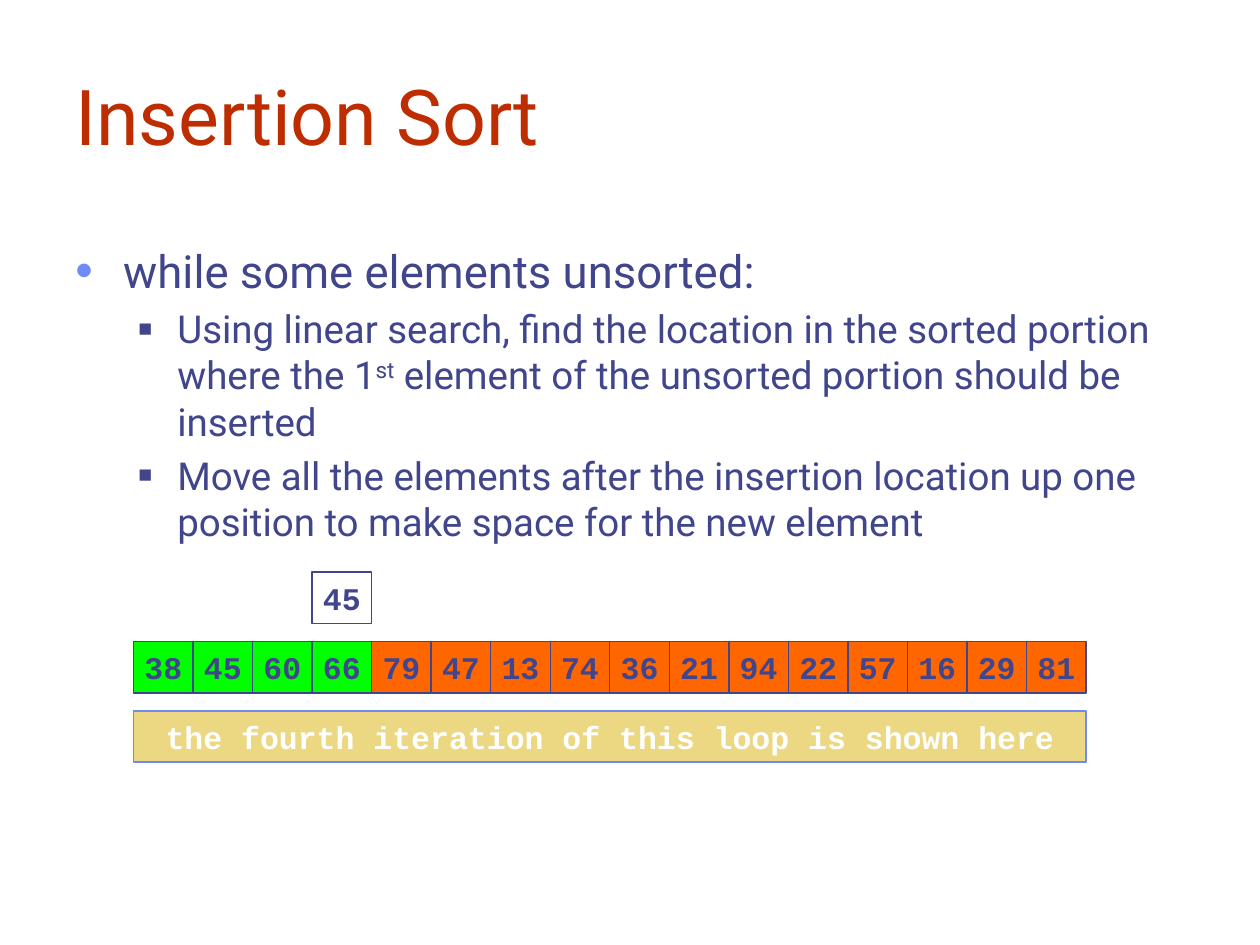
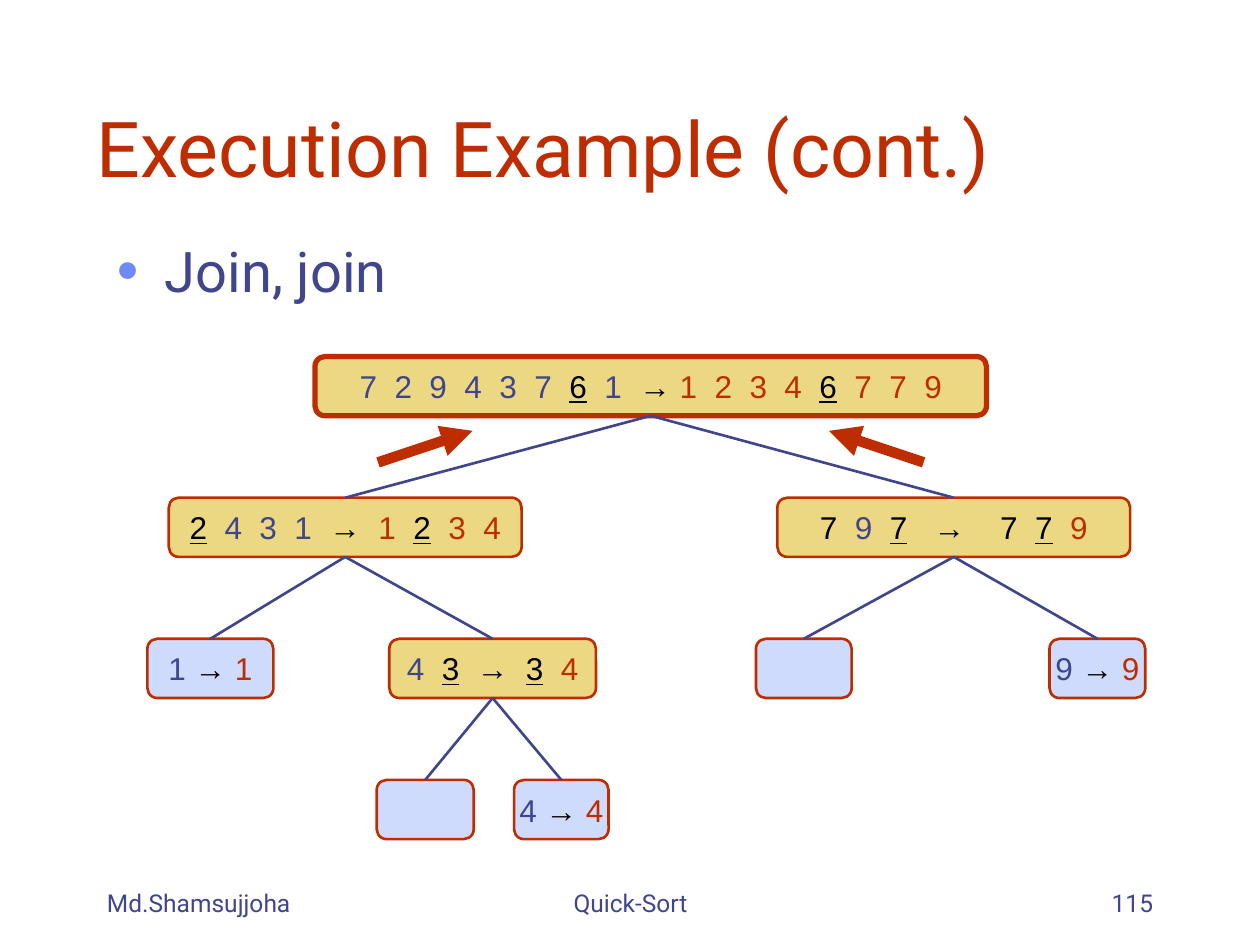
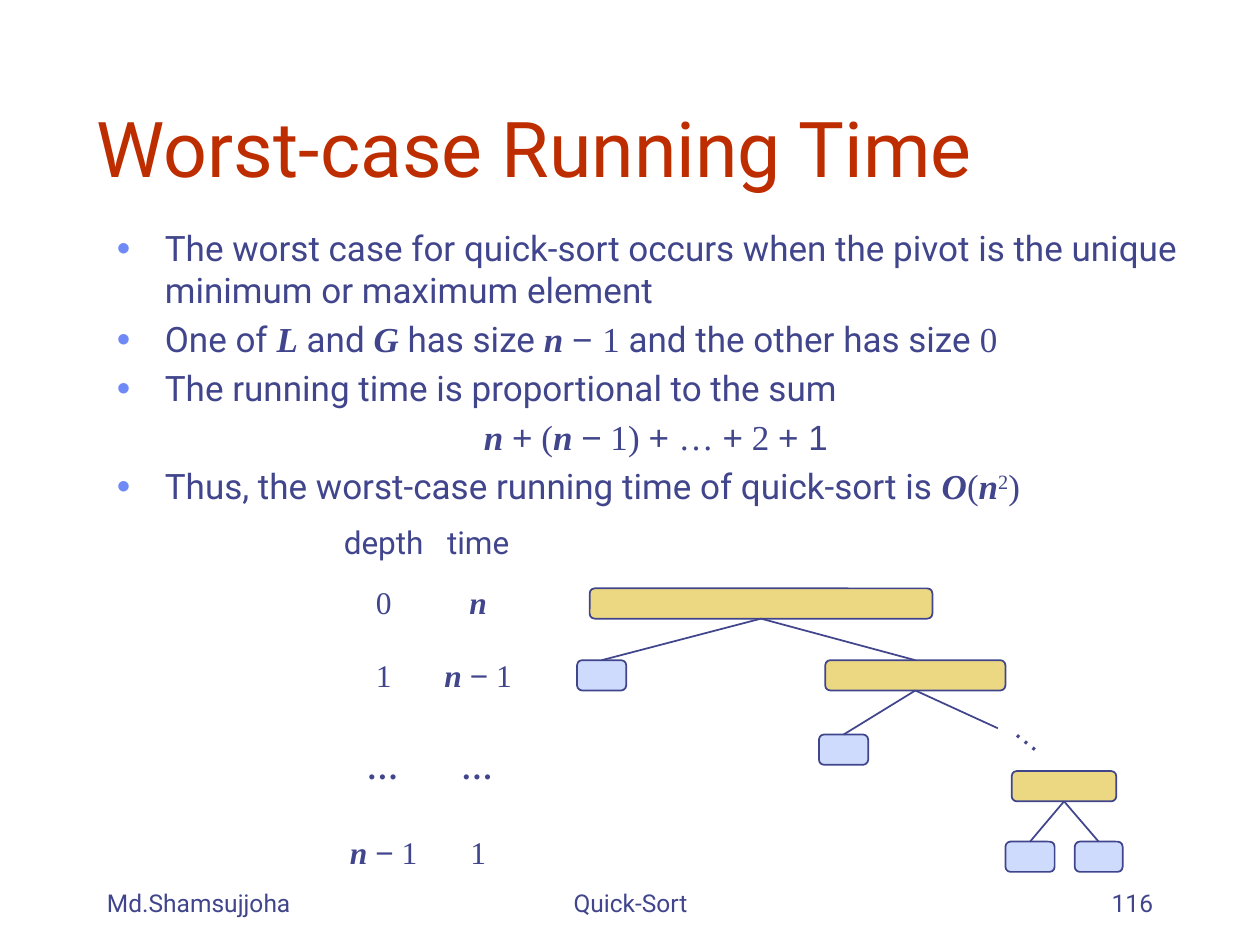
import pptx
import pptx.dml.color
import pptx.enum.shapes
import pptx.enum.text
import pptx.oxml
import pptx.oxml.ns
import pptx.util

Inches = pptx.util.Inches
Pt = pptx.util.Pt
ALIGN = pptx.enum.text.PP_ALIGN
ANCHOR = pptx.enum.text.MSO_ANCHOR
SHAPE = pptx.enum.shapes.MSO_SHAPE

COLORS = {
    "white": "FFFFFF", "black": "000000", "navy": "40458C", "red": "BE2D00",
    "bullet": "6F89F7", "gold": "ECD882", "pale": "CFDBFD",
    "sorted": "00FF00", "unsorted": "FF6600",
}

STYLES = {
    "body": {"font": "Roboto"},
    "super": {"font": "Roboto", "baseline": 30000},
    "title": {"font": "Roboto", "color": "red"},
    "var": {"font": "Times New Roman", "bold": True, "italic": True},
    "math": {"font": "Times New Roman"},
    "power": {"font": "Times New Roman", "baseline": 30000},
    "op": {"font": "Arial"},
    "code": {"font": "Courier New", "bold": True},
    "caption": {"font": "Courier New", "bold": True, "color": "white"},
    "input": {"font": "Arial"},
    "output": {"font": "Arial", "color": "red"},
    "equal": {"font": "Arial", "color": "black"},
    "pivot": {"font": "Arial", "color": "black", "underline": True},
    "arrow": {"font": "Arial", "color": "black", "bold": True},
}

BULLETS = [("•", "bullet", 110, 0.38, 0.38), ("■", "navy", 60, 0.81, 0.31)]
GAP = 5


def rgb(name):
    """Return the named colour."""
    return pptx.dml.color.RGBColor.from_string(COLORS[name])


def add_run(p, text, style, size, spacing=0):
    """Append a run in one of the named styles."""
    look = STYLES[style]
    r = p.add_run()
    r.text = text
    r.font.name = look["font"]
    r.font.size = Pt(size)
    r.font.color.rgb = rgb(look.get("color", "navy"))
    r.font.bold = look.get("bold", False)
    r.font.italic = look.get("italic", False)
    r.font.underline = look.get("underline", False)
    props = r._r.get_or_add_rPr()
    if "baseline" in look:
        props.set("baseline", str(look["baseline"]))
    if spacing:
        props.set("spc", str(spacing * 100))


def add_runs(p, runs, size):
    """Append (text, style) runs."""
    for text, style in runs:
        add_run(p, text, style, size)


def add_text(slide, box, text, style, size, align=ALIGN.LEFT, anchor=ANCHOR.TOP):
    """Add a text box with one line."""
    sp = slide.shapes.add_textbox(*map(Inches, box))
    tf = sp.text_frame
    tf.word_wrap = True
    tf.vertical_anchor = anchor
    p = tf.paragraphs[0]
    p.alignment = align
    add_run(p, text, style, size)
    return sp


def add_box(slide, kind, box, fill, line, width):
    """Add a filled, outlined shape with centred text."""
    sp = slide.shapes.add_shape(kind, *map(Inches, box))
    sp.shadow.inherit = False
    sp.fill.solid()
    sp.fill.fore_color.rgb = rgb(fill)
    sp.line.color.rgb = rgb(line)
    sp.line.width = Pt(width)
    tf = sp.text_frame
    tf.word_wrap = False
    tf.vertical_anchor = ANCHOR.MIDDLE
    tf.paragraphs[0].alignment = ALIGN.CENTER
    return sp


def add_line(slide, start, end, color, width, arrow=False):
    """Add a straight connector, with an arrowhead at its end if asked."""
    points = map(Inches, (*start, *end))
    line = slide.shapes.add_connector(pptx.enum.shapes.MSO_CONNECTOR.STRAIGHT, *points)
    line.line.color.rgb = rgb(color)
    line.line.width = Pt(width)
    if arrow:
        head = pptx.oxml.parse_xml(
            f'<a:tailEnd {pptx.oxml.ns.nsdecls("a")} type="triangle"/>')
        line.line._get_or_add_ln().append(head)
    line._element.spPr.append(
        pptx.oxml.parse_xml(f'<a:effectLst {pptx.oxml.ns.nsdecls("a")}/>'))
    return line


def add_title(slide, box, text):
    """Add the slide title."""
    add_text(slide, box, text, "title", 44, anchor=ANCHOR.BOTTOM)


def add_footer(slide, box, number):
    """Add author, topic and slide number along the bottom."""
    x, y, w, h = box
    parts = [
        (0, 2.08, "Md.Shamsujjoha", ALIGN.LEFT),
        (2.67, 3.17, "Quick-Sort", ALIGN.CENTER),
        (w - 2.08, 2.08, str(number), ALIGN.RIGHT),
    ]
    for dx, width, text, align in parts:
        add_text(slide, (x + dx, y, width, h), text, "body", 14, align, ANCHOR.BOTTOM)


def set_bullet(p, level):
    """Give a paragraph the indent and bullet of its level."""
    char, color, percent, margin, hang = BULLETS[level]
    p.level = level
    props = p._p.get_or_add_pPr()
    props.set("marL", str(Inches(margin)))
    props.set("indent", str(-Inches(hang)))
    for xml in (f'buClr {{}}><a:srgbClr val="{COLORS[color]}"/></a:buClr>',
                f'buSzPct {{}} val="{percent * 1000}"/>',
                '<buFont {} typeface="Arial"/>'[1:],
                f'buChar {{}} char="{char}"/>'):
        props.append(pptx.oxml.parse_xml("<a:" + xml.format(pptx.oxml.ns.nsdecls("a"))))


def add_bullets(slide, box, items):
    """Add paragraphs given as (level, size, runs); level None is a centred line."""
    tf = slide.shapes.add_textbox(*map(Inches, box)).text_frame
    tf.word_wrap = True
    for i, (level, size, runs) in enumerate(items):
        p = tf.add_paragraph() if i else tf.paragraphs[0]
        p.space_before = Pt(size * 0.2 if i else 0)
        if level is None:
            p.alignment = ALIGN.CENTER
        else:
            set_bullet(p, level)
        add_runs(p, runs, size)


def add_array(slide, box, values, sorted_count, moving, slot, caption):
    """Draw the array with the moving element above and a caption below."""
    x, y, w, h = box
    pitch, cell = 0.55, w / len(values)
    cells = [(i, pitch, value, "sorted" if i < sorted_count else "unsorted")
             for i, value in enumerate(values)]
    for i, dy, value, fill in cells + [(slot, 0, moving, "white")]:
        sp = add_box(slide, SHAPE.RECTANGLE, (x + i * cell, y + dy, cell, h),
                     fill, "navy", 0.75)
        add_run(sp.text_frame.paragraphs[0], str(value), "code", 18)
    sp = add_box(slide, SHAPE.RECTANGLE, (x, y + 2 * pitch, w, h), "gold", "bullet", 1)
    add_run(sp.text_frame.paragraphs[0], caption, "caption", 18)


def add_tokens(p, groups):
    """Write spaced numbers from (text, style, gap before the group) groups."""
    for text, style, gap in groups:
        for i, token in enumerate(text.split()):
            if p.runs:
                add_run(p, " ", "input", 18, GAP if i else gap)
            add_run(p, token, style, 18)


def add_tree(slide, box, nodes, height, outline, width):
    """Draw nodes given as name: (x, y, width, parent) and join them to parents."""
    x, y = box[:2]
    parents = {node[3] for node in nodes.values()}
    shapes = {}
    for name, (dx, dy, w, parent) in nodes.items():
        fill = "gold" if name in parents else "pale"
        shapes[name] = add_box(slide, SHAPE.ROUNDED_RECTANGLE,
                               (x + dx, y + dy, w, height), fill, outline, width)
    for name, (dx, dy, w, parent) in nodes.items():
        if parent:
            line = add_line(slide, (0, 0), (1, 1), "navy", width)
            line.begin_connect(shapes[name], 0)
            line.end_connect(shapes[parent], 2)
    return shapes


def add_execution_tree(slide, box):
    """Draw the quick-sort tree with the results being joined upwards."""
    x, y = box[:2]
    row = 1.12
    nodes = {
        "root": (1.33, 0, 5.33, None),
        "less": (0.17, row, 2.8, "root"),
        "greater": (5, row, 2.8, "root"),
        "one": (0, 2 * row, 1, "less"),
        "pair": (1.92, 2 * row, 1.64, "less"),
        "greater empty": (4.83, 2 * row, 0.76, "greater"),
        "nine": (7.16, 2 * row, 0.76, "greater"),
        "pair empty": (1.82, 3 * row, 0.77, "pair"),
        "four": (2.91, 3 * row, 0.75, "pair"),
    }
    labels = {
        "root": [("7 2 9 4 3 7", "input", GAP), ("6", "pivot", GAP), ("1", "input", GAP),
                 ("→", "arrow", GAP), ("1 2 3 4", "output", 0), ("6", "pivot", GAP),
                 ("7 7 9", "output", GAP)],
        "less": [("2", "pivot", 0), ("4 3 1", "input", GAP), ("→", "arrow", GAP),
                 ("1", "output", GAP), ("2", "pivot", GAP), ("3 4", "output", GAP)],
        "greater": [("7", "equal", 0), ("9", "input", GAP), ("7", "pivot", GAP),
                    ("→", "arrow", 2 * GAP), ("7", "equal", 3 * GAP),
                    ("7", "pivot", GAP), ("9", "output", GAP)],
        "pair": [("4", "input", 0), ("3", "pivot", GAP), ("→", "arrow", GAP),
                 ("3", "pivot", GAP), ("4", "output", GAP)],
    }
    for name, digit in (("one", "1"), ("nine", "9"), ("four", "4")):
        labels[name] = [(digit, "input", 0), ("→", "arrow", 0), (digit, "output", 0)]
    shapes = add_tree(slide, box, nodes, 0.47, "red", 1.5)
    shapes["root"].line.width = Pt(3)
    for name, groups in labels.items():
        add_tokens(shapes[name].text_frame.paragraphs[0], groups)
    for tail, tip in ((1.83, 2.58), (6.16, 5.41)):
        add_line(slide, (x + tail, y + 0.84), (x + tip, y + 0.59), "red", 6, arrow=True)


def add_depth_table(slide, box):
    """Add the table of depth and time per level."""
    minus = [("n ", "var"), ("−", "op"), (" 1", "math")]
    rows = [
        (0.34, [("depth", "body")], [("time", "body")]),
        (0.56, [("0", "math")], [("n", "var")]),
        (0.6, [("1", "math")], minus),
        (0.87, [("…", "var")], [("…", "var")]),
        (0.47, minus, [("1", "math")]),
    ]
    table = slide.shapes.add_table(len(rows), 2, *map(Inches, box)).table
    table.first_row = table.horz_banding = False
    for i, (height, *columns) in enumerate(rows):
        table.rows[i].height = Inches(height)
        for j, runs in enumerate(columns):
            cell = table.cell(i, j)
            cell.fill.background()
            cell.margin_left = cell.margin_right = 0
            cell.margin_top = cell.margin_bottom = 0
            cell.vertical_anchor = ANCHOR.MIDDLE if i else ANCHOR.TOP
            p = cell.text_frame.paragraphs[0]
            p.alignment = ALIGN.CENTER
            add_runs(p, runs, 18)


def add_recursion_tree(slide, box):
    """Draw the lopsided tree of the worst case."""
    x, y = box[:2]
    nodes = {
        "root": (0.1, 0, 2.72, None),
        "root leaf": (0, 0.57, 0.39, "root"),
        "second": (1.97, 0.57, 1.43, "root"),
        "second leaf": (1.92, 1.16, 0.39, "second"),
        "last": (3.45, 1.45, 0.83, None),
        "last left": (3.4, 2.01, 0.39, "last"),
        "last right": (3.95, 2.01, 0.38, "last"),
    }
    shapes = add_tree(slide, box, nodes, 0.24, "navy", 1)
    branch = add_line(slide, (x + 3.34, y + 1.11), (x + 2.68, y + 0.81), "navy", 1)
    branch.end_connect(shapes["second"], 2)
    dots = add_text(slide, (x + 3.35, y + 0.95, 0.47, 0.5), "…", "op", 18, ALIGN.CENTER)
    dots.text_frame.margin_left = dots.text_frame.margin_right = 0
    dots.rotation = 38.4


def insertion_sort_slide(slide):
    """Build the insertion sort slide."""
    add_title(slide, (0.5, 0.08, 9, 1.25), "Insertion Sort")
    add_bullets(slide, (0.5, 1.88, 9, 2.87), [
        (0, 26, [("while some elements unsorted:", "body")]),
        (1, 22, [("Using linear search, find the location in the sorted portion "
                  "where the 1", "body"), ("st", "super"),
                 (" element of the unsorted portion should be inserted", "body")]),
        (1, 22, [("Move all the elements after the insertion location up one "
                  "position to make space for the new element", "body")]),
    ])
    values = [38, 45, 60, 66, 79, 47, 13, 74, 36, 21, 94, 22, 57, 16, 29, 81]
    add_array(slide, (1.06, 4.54, 7.56, 0.41), values, 4, 45, 3,
              "the fourth iteration of this loop is shown here")


def execution_slide(slide):
    """Build the quick-sort execution slide."""
    add_title(slide, (0.67, 0.33, 8.5, 1.25), "Execution Example (cont.)")
    add_bullets(slide, (0.83, 1.83, 8.5, 0.75), [(0, 32, [("Join, join", "body")])])
    add_execution_tree(slide, (1.17, 2.83, 7.92, 3.84))
    add_footer(slide, (0.75, 6.83, 8.5, 0.5), 115)


def worst_case_slide(slide):
    """Build the worst-case running time slide."""
    add_title(slide, (0.67, 0.33, 8.5, 1.25), "Worst-case Running Time")
    add_bullets(slide, (0.83, 1.75, 8.75, 2.5), [
        (0, 20, [("The worst case for quick-sort occurs when the pivot is the "
                  "unique minimum or maximum element", "body")]),
        (0, 20, [("One of ", "body"), ("L", "var"), (" and ", "body"), ("G", "var"),
                 (" has size ", "body"), ("n ", "var"), ("− ", "op"), ("1 ", "math"),
                 ("and the other has size ", "body"), ("0", "math")]),
        (0, 20, [("The running time is proportional to the sum", "body")]),
        (None, 20, [("n ", "var"), ("+", "op"), (" (", "math"), ("n ", "var"),
                    ("−", "op"), (" 1) ", "math"), ("+ ", "op"), ("… ", "math"),
                    ("+", "op"), (" 2 ", "math"), ("+ 1", "op")]),
        (0, 20, [("Thus, the worst-case running time of quick-sort is ", "body"),
                 ("O", "var"), ("(", "math"), ("n", "var"), ("2", "power"),
                 (")", "math")]),
    ])
    add_depth_table(slide, (2.67, 4.17, 1.5, 2.84))
    add_recursion_tree(slide, (4.58, 4.67, 4.33, 2.25))
    add_footer(slide, (0.75, 6.83, 8.5, 0.5), 116)


def main():
    """Build and save the presentation."""
    prs = pptx.Presentation()
    prs.slide_width, prs.slide_height = Inches(10), Inches(7.5)
    for build in (insertion_sort_slide, execution_slide, worst_case_slide):
        build(prs.slides.add_slide(prs.slide_layouts[6]))
    prs.save("out.pptx")


if __name__ == "__main__":
    main()
